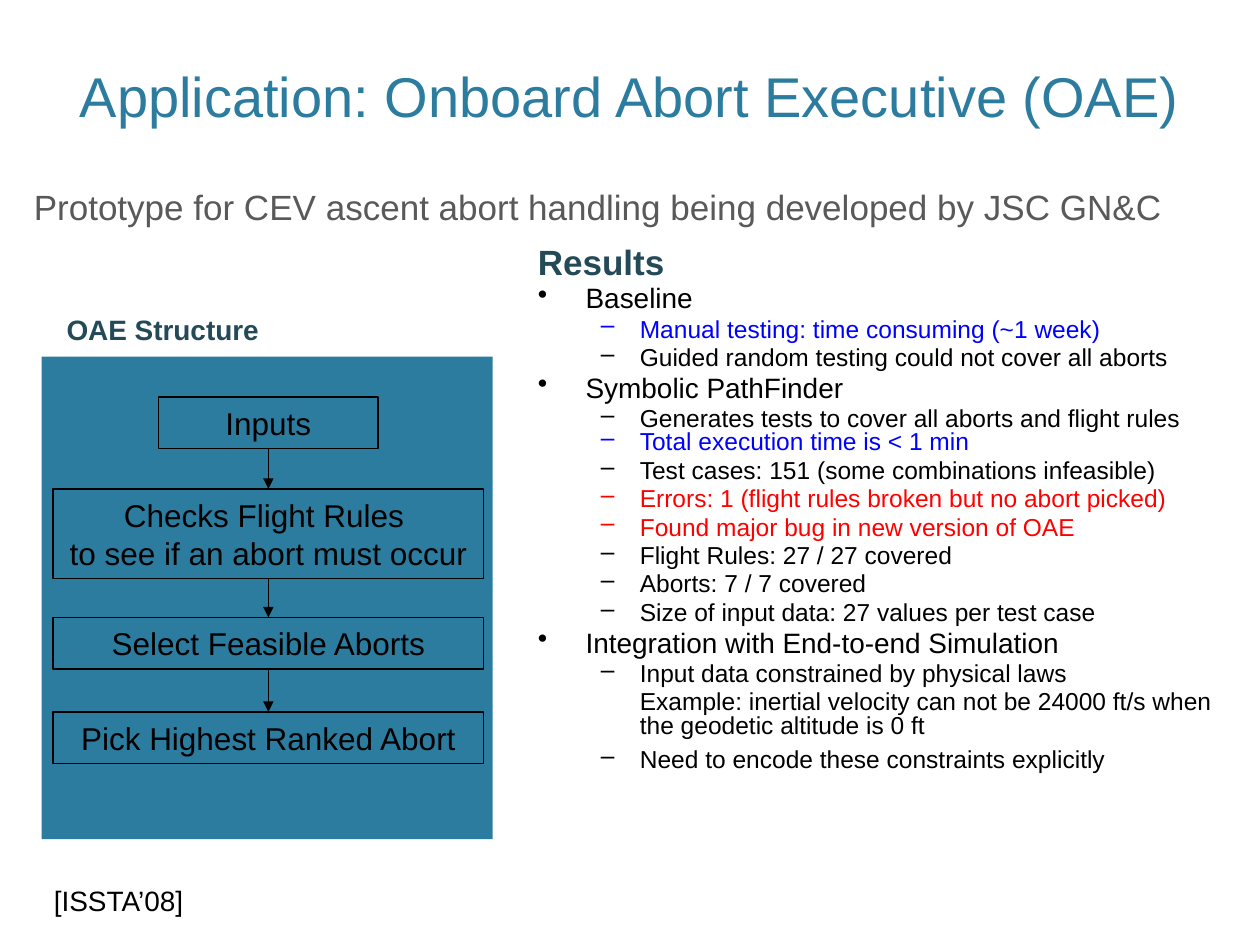
import pptx
import pptx.dml.color
import pptx.enum.shapes
import pptx.enum.text
import pptx.oxml.xmlchemy
import pptx.util
from pptx.util import Inches

RGBColor = pptx.dml.color.RGBColor
TEAL = RGBColor(0x2C, 0x7C, 0x9F)
DARK_TEAL = RGBColor(0x24, 0x4A, 0x58)
GRAY = RGBColor(0x59, 0x59, 0x59)
BLACK = RGBColor(0, 0, 0)
BLUE = RGBColor(0, 0, 0xFF)
RED = RGBColor(0xFF, 0, 0)

PP_ALIGN = pptx.enum.text.PP_ALIGN
MSO_ANCHOR = pptx.enum.text.MSO_ANCHOR
FONT = "Arial"
FLOW_CENTER = 2.13

FLOW_STEPS = [
    (["Inputs"], 3.15, 1.74, 0.41),
    (["Checks Flight Rules ", "to see if an abort must occur"], 3.88, 3.42, 0.71),
    (["Select Feasible Aborts"], 4.9, 3.42, 0.41),
    (["Pick Highest Ranked Abort"], 5.65, 3.42, 0.41),
]

RESULTS = [
    ("Baseline", [
        ("Manual testing: time consuming (~1 week)", BLUE),
        ("Guided random testing could not cover all aborts", BLACK),
    ]),
    ("Symbolic PathFinder", [
        ("Generates tests to cover all aborts and flight rules", BLACK),
        ("Total execution time is < 1 min", BLUE),
        ("Test cases: 151 (some combinations infeasible)", BLACK),
        ("Errors: 1 (flight rules broken but no abort picked)", RED),
        ("Found major bug in new version of OAE", RED),
        ("Flight Rules: 27 / 27 covered", BLACK),
        ("Aborts: 7 / 7 covered", BLACK),
        ("Size of input data: 27 values per test case", BLACK),
    ]),
    ("Integration with End-to-end Simulation", [
        ("Input data constrained by physical laws", BLACK),
        ("Example: inertial velocity can not be 24000 ft/s when "
         "the geodetic altitude is 0 ft", BLACK),
        ("Need to encode these constraints explicitly", BLACK),
    ]),
]


def add_run(paragraph, text, size, color, bold=False):
    """Append one formatted run to a paragraph."""
    run = paragraph.add_run()
    run.text = text
    run.font.name = FONT
    run.font.size = pptx.util.Pt(size)
    run.font.bold = bold
    run.font.color.rgb = color


def add_label(slide, text, place, size, color, bold=False, wrap=True):
    """Add a one-paragraph text box and return its text frame."""
    box = slide.shapes.add_textbox(*[Inches(length) for length in place])
    frame = box.text_frame
    frame.word_wrap = wrap
    add_run(frame.paragraphs[0], text, size, color, bold)
    return frame


def add_rectangle(slide, left, top, width, height):
    """Add a rectangle without shadow, fill or outline."""
    rectangle = slide.shapes.add_shape(
        pptx.enum.shapes.MSO_SHAPE.RECTANGLE,
        Inches(left), Inches(top), Inches(width), Inches(height))
    rectangle.shadow.inherit = False
    rectangle.fill.background()
    rectangle.line.fill.background()
    return rectangle


def add_step(slide, lines, top, width, height):
    """Add one outlined step of the flow, centred on its axis."""
    step = add_rectangle(slide, FLOW_CENTER - width / 2, top, width, height)
    step.line.color.rgb = BLACK
    step.line.width = pptx.util.Pt(0.75)
    step.text_frame.word_wrap = True
    step.text_frame.vertical_anchor = MSO_ANCHOR.MIDDLE
    paragraph = step.text_frame.paragraphs[0]
    paragraph.alignment = PP_ALIGN.CENTER
    for number, line in enumerate(lines):
        if number:
            paragraph.add_line_break()
        add_run(paragraph, line, 18, BLACK)
    return step


def add_element(parent, tag, **attributes):
    """Append a drawing element to an XML parent."""
    element = pptx.oxml.xmlchemy.OxmlElement(tag)
    for name, value in attributes.items():
        element.set(name, value)
    parent.append(element)


def add_arrow(slide, upper, lower):
    """Join two steps with a downward arrow."""
    arrow = slide.shapes.add_connector(
        pptx.enum.shapes.MSO_CONNECTOR.STRAIGHT, 0, 0, 0, 0)
    arrow.begin_connect(upper, 2)
    arrow.end_connect(lower, 0)
    arrow.line.color.rgb = BLACK
    arrow.line.width = pptx.util.Pt(0.75)
    properties = arrow._element.spPr
    add_element(properties.ln, "a:tailEnd", type="triangle")
    add_element(properties, "a:effectLst")


def add_structure(slide):
    """Draw the OAE flow on its panel."""
    panel = add_rectangle(slide, 0.33, 2.83, 3.58, 3.83)
    panel.fill.solid()
    panel.fill.fore_color.rgb = TEAL
    steps = [add_step(slide, *step) for step in FLOW_STEPS]
    for upper, lower in zip(steps, steps[1:]):
        add_arrow(slide, upper, lower)
    add_label(slide, "OAE Structure", (0.43, 2.43, 1.73, 0.37), 16, DARK_TEAL,
              bold=True, wrap=False)


def add_item(frame, text, size, color, bullet, margin, hanging):
    """Append one list paragraph with an optional bullet."""
    paragraph = frame.add_paragraph()
    paragraph.line_spacing = 0.8
    paragraph.space_before = pptx.util.Pt(size * 0.2)
    properties = paragraph._p.get_or_add_pPr()
    properties.set("marL", str(Inches(margin)))
    properties.set("indent", str(-Inches(hanging)))
    if bullet:
        add_element(properties, "a:buChar", char=bullet)
    add_run(paragraph, text, size, color)
    return paragraph


def add_results(slide):
    """Write the results as a two-level list."""
    frame = add_label(slide, "Results", (4.17, 1.92, 5.67, 4.75), 20,
                      DARK_TEAL, bold=True)
    frame.paragraphs[0].line_spacing = 0.8
    for topic, findings in RESULTS:
        add_item(frame, topic, 16, BLACK, "•", 0.38, 0.38)
        for text, color in findings:
            is_example = text.startswith("Example")
            bullet, hanging = ("", 0) if is_example else ("–", 0.31)
            finding = add_item(frame, text, 14, color, bullet, 0.81, hanging)
            finding.level = 1
            if text.startswith("Total"):
                finding.space_before = pptx.util.Pt(0)
    frame.paragraphs[-1].line_spacing = 1.0


def main():
    """Build the slide and save it."""
    deck = pptx.Presentation()
    deck.slide_width, deck.slide_height = Inches(10), Inches(7.5)
    slide = deck.slides.add_slide(deck.slide_layouts[6])
    title = add_label(slide, "Application: Onboard Abort Executive (OAE)",
                      (0, -0.18, 10, 1.25), 32, TEAL)
    title.vertical_anchor = MSO_ANCHOR.BOTTOM
    title.paragraphs[0].alignment = PP_ALIGN.CENTER
    add_label(slide, "Prototype for CEV ascent abort handling being developed by JSC GN&C",
              (0.17, 1.42, 9.67, 0.92), 20, GRAY)
    add_structure(slide)
    add_results(slide)
    add_label(slide, "[ISSTA’08]", (0.33, 6.96, 1.37, 0.37), 16, BLACK, wrap=False)
    deck.save("out.pptx")


if __name__ == "__main__":
    main()
